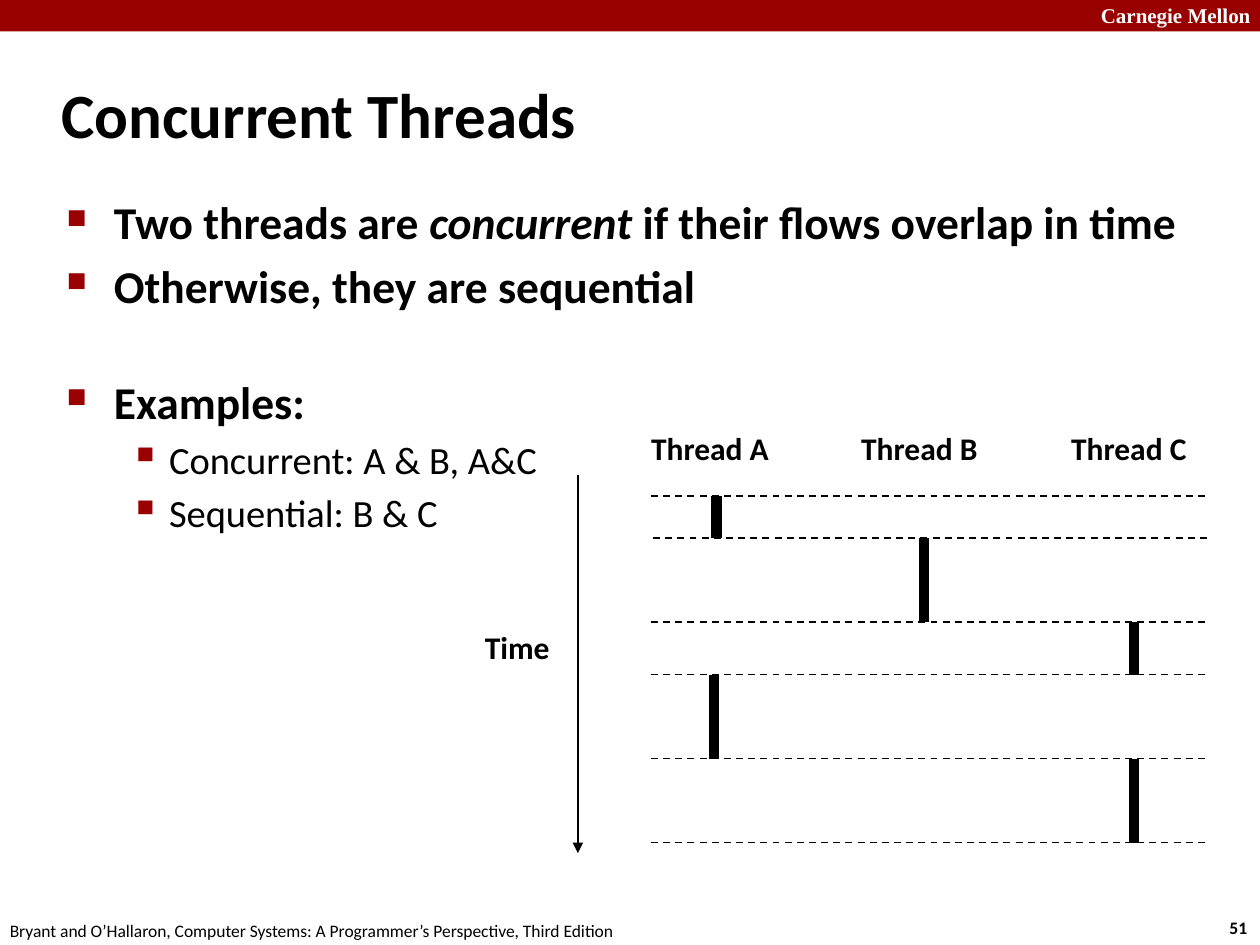
from dataclasses import dataclass

from lxml.etree import SubElement
from pptx import Presentation
from pptx.dml.color import RGBColor
from pptx.enum.dml import MSO_LINE
from pptx.enum.shapes import MSO_CONNECTOR, MSO_SHAPE
from pptx.enum.text import MSO_ANCHOR, MSO_AUTO_SIZE, PP_ALIGN
from pptx.oxml.ns import qn
from pptx.shapes.connector import Connector
from pptx.slide import Slide
from pptx.text.text import Font
from pptx.util import Pt

BLACK = RGBColor(0x00, 0x00, 0x00)
WHITE = RGBColor(0xFF, 0xFF, 0xFF)
DARK_RED = RGBColor(0x99, 0x00, 0x00)


@dataclass
class Label:
    text: str
    left: float
    top: float
    width: float
    height: float
    size: float
    bold: bool = True
    font_name: str = "Calibri"
    color: RGBColor = BLACK
    wrap: bool = False


@dataclass
class Bullet:
    spans: list[str]  # every second span is italic
    level: int = 0
    space_before: float = 0


@dataclass
class BulletStyle:
    size: float
    bold: bool
    margin: float
    hanging: float
    symbol: str
    percent: int


@dataclass
class Burst:
    """A period in which one thread runs."""
    x: float
    start: float
    end: float


LABELS = [
    Label("Carnegie Mellon", 622, -2, 103, 21.6, 12,
          font_name="Times New Roman", color=WHITE, wrap=True),
    Label("51", 695.5, 520.5, 26.6, 19.4, 10),
    Label("Bryant and O’Hallaron, Computer Systems: A Programmer’s Perspective, "
          "Third Edition", -1.5, 522, 365.8, 19.4, 10, bold=False),
    Label("Time", 270, 355.5, 52, 29, 18),
    Label("Thread A", 365, 241.5, 83.5, 29, 18),
    Label("Thread B", 485, 241.5, 82, 29, 18),
    Label("Thread C", 605, 241.5, 81.5, 29, 18),
]

BULLET_STYLES = [
    BulletStyle(26, True, 27, 27, "■", 60),
    BulletStyle(22, False, 58.5, 22.5, "▪", 110),
]
BULLETS = [
    Bullet(["Two threads are ", "concurrent", " if their flows overlap in time"]),
    Bullet(["Otherwise, they are sequential"], space_before=5),
    Bullet(["Examples:"], space_before=35.3),
    Bullet(["Concurrent: A & B, A&C"], 1, 4.2),
    Bullet(["Sequential: B & C"], 1, 4.2),
]

BURSTS = [
    Burst(409.5, 283.5, 307.5),
    Burst(528, 307.5, 355.5),
    Burst(648, 355.5, 385.5),
    Burst(408, 385.5, 433.5),
    Burst(648, 433.5, 481.5),
]
BOUNDARY_LEFT, BOUNDARY_RIGHT = 372, 690
BOUNDARY_SHIFTS = {307.5: 1.2}
TIME_X, TIME_START, TIME_END = 330.25, 271.5, 487.5


def format_font(font: Font, size: float, bold: bool,
                name: str = "Calibri", color: RGBColor = BLACK) -> None:
    font.name = name
    font.size = Pt(size)
    font.bold = bold
    font.color.rgb = color


def add_label(page: Slide, label: Label) -> None:
    box = page.shapes.add_textbox(Pt(label.left), Pt(label.top),
                                  Pt(label.width), Pt(label.height))
    frame = box.text_frame
    frame.word_wrap = label.wrap
    frame.auto_size = MSO_AUTO_SIZE.SHAPE_TO_FIT_TEXT
    frame.text = label.text
    format_font(frame.paragraphs[0].runs[0].font, label.size, label.bold,
                label.font_name, label.color)


def add_line(page: Slide, x1: float, y1: float, x2: float, y2: float,
             width: float = 1) -> Connector:
    line = page.shapes.add_connector(MSO_CONNECTOR.STRAIGHT,
                                     Pt(x1), Pt(y1), Pt(x2), Pt(y2))
    line.line.color.rgb = BLACK
    line.line.width = Pt(width)
    SubElement(line._element.spPr, qn("a:effectLst"))
    return line


def add_header_bar(page: Slide) -> None:
    bar = page.shapes.add_shape(MSO_SHAPE.RECTANGLE, Pt(0), Pt(0), Pt(720), Pt(18))
    bar.shadow.inherit = False
    bar.fill.solid()
    bar.fill.fore_color.rgb = DARK_RED
    bar.line.fill.background()


def format_title(page: Slide) -> None:
    title = page.shapes.title
    title.left, title.top = Pt(28), Pt(34.5)
    title.width, title.height = Pt(597.5), Pt(60)
    frame = title.text_frame
    frame.text = "Concurrent Threads"
    frame.auto_size = MSO_AUTO_SIZE.NONE
    frame.vertical_anchor = MSO_ANCHOR.MIDDLE
    para = frame.paragraphs[0]
    para.alignment = PP_ALIGN.LEFT
    format_font(para.runs[0].font, 36, True)


def add_bullets(page: Slide) -> None:
    box = page.shapes.add_textbox(Pt(31), Pt(107.5), Pt(655), Pt(391.5))
    frame = box.text_frame
    frame.word_wrap = True
    for index, bullet in enumerate(BULLETS):
        style = BULLET_STYLES[bullet.level]
        para = frame.add_paragraph() if index else frame.paragraphs[0]
        para.level = bullet.level
        properties = para._p.get_or_add_pPr()
        properties.set("marL", str(Pt(style.margin)))
        properties.set("indent", str(-Pt(style.hanging)))
        bullet_color = SubElement(properties, qn("a:buClr"))
        SubElement(bullet_color, qn("a:srgbClr"), val=str(DARK_RED))
        SubElement(properties, qn("a:buSzPct"), val=str(style.percent * 1000))
        SubElement(properties, qn("a:buChar"), char=style.symbol)
        para.space_before = Pt(bullet.space_before)
        for position, text in enumerate(bullet.spans):
            span = para.add_run()
            span.text = text
            format_font(span.font, style.size, style.bold)
            span.font.italic = position % 2 == 1


def add_timeline(page: Slide) -> None:
    arrow = add_line(page, TIME_X, TIME_START, TIME_X, TIME_END)
    SubElement(arrow.line._get_or_add_ln(), qn("a:tailEnd"), type="triangle")
    for burst in BURSTS:
        add_line(page, burst.x, burst.start, burst.x, burst.end, 6)
    for y in [BURSTS[0].start] + [burst.end for burst in BURSTS]:
        shift = BOUNDARY_SHIFTS.get(y, 0)
        boundary = add_line(page, BOUNDARY_LEFT + shift, y, BOUNDARY_RIGHT + shift, y)
        boundary.line.dash_style = MSO_LINE.DASH


def main() -> None:
    deck = Presentation()
    deck.slide_width, deck.slide_height = Pt(720), Pt(540)
    page = deck.slides.add_slide(deck.slide_layouts[5])
    add_header_bar(page)
    format_title(page)
    add_bullets(page)
    add_timeline(page)
    for label in LABELS:
        add_label(page, label)
    deck.save("out.pptx")


if __name__ == "__main__":
    main()
